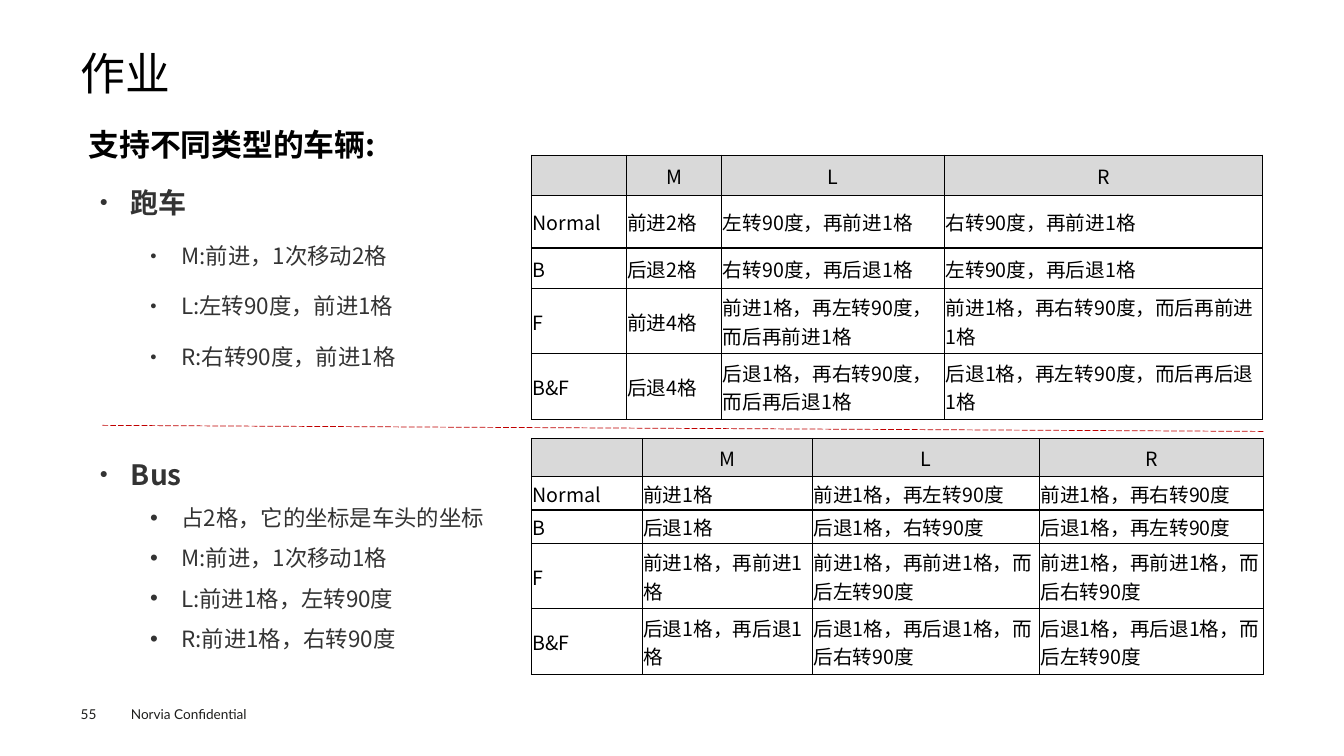
"""Build the homework slide on moves of different vehicle types."""
from lxml import etree
from pptx import Presentation, util as u
from pptx.dml.color import RGBColor
from pptx.enum import dml, shapes, text
from pptx.oxml import ns

INK = {"black": "000000", "body": "333333", "foot": "1D1D1B",
       "head": "D9D9D9", "white": "FFFFFF", "rule": "C00000"}
SANS, LATO = "Noto Sans CJK SC", "Lato"
BIG, SMALL = ("●", 50), ("•", 100)
HEADS = ["", "M", "L", "R"]

SPORT = [
    HEADS,
    ["Normal", "前进2格", "左转90度，再前进1格", "右转90度，再前进1格"],
    ["B", "后退2格", "右转90度，再后退1格", "左转90度，再后退1格"],
    ["F", "前进4格", "前进1格，再左转90度，而后再前进1格",
     "前进1格，再右转90度，而后再前进1格"],
    ["B&F", "后退4格", "后退1格，再右转90度，而后再后退1格",
     "后退1格，再左转90度，而后再后退1格"],
]
BUS = [
    HEADS,
    ["Normal", "前进1格", "前进1格，再左转90度", "前进1格，再右转90度"],
    ["B", "后退1格", "后退1格，右转90度", "后退1格，再左转90度"],
    ["F", "前进1格，再前进1格", "前进1格，再前进1格，而后左转90度",
     "前进1格，再前进1格，而后右转90度"],
    ["B&F", "后退1格，再后退1格", "后退1格，再后退1格，而后右转90度",
     "后退1格，再后退1格，而后左转90度"],
]


def rgb(name):
    return RGBColor.from_string(INK[name])


def sub(node, tag, **attrs):
    kid = etree.SubElement(node, ns.qn(tag))
    for key, val in attrs.items():
        kid.set(key, str(val))
    return kid


def put(par, words, size=14, font=SANS, color="black", bold=False,
        align=text.PP_ALIGN.LEFT, line=1.0, before=0, mark=None, left=0):
    par.alignment, par.line_spacing = align, line
    par.space_before = u.Pt(before)
    if mark:
        sign, scale = mark
        props = par._p.get_or_add_pPr()
        props.set("marL", str(u.Inches(left)))
        props.set("indent", str(u.Inches(-0.31)))
        sub(props, "a:buSzPct", val=scale * 1000)
        sub(props, "a:buFont", typeface="Arial")
        sub(props, "a:buChar", char=sign)
    run = par.add_run()
    run.text = words
    run.font.size, run.font.bold = u.Pt(size), bold
    run.font.color.rgb = rgb(color)
    run.font.name = font
    sub(run._r.get_or_add_rPr(), "a:ea", typeface=SANS)


def inset(frame, side, top):
    frame.margin_left = frame.margin_right = u.Inches(side)
    frame.margin_top = frame.margin_bottom = u.Inches(top)


def add_box(slide, area, side=0.1, top=0.05):
    frame = slide.shapes.add_textbox(*map(u.Inches, area)).text_frame
    frame.word_wrap = True
    inset(frame, side, top)
    return frame


def add_title(slide, words):
    title = slide.shapes.title
    title.left, title.top, title.width, title.height = map(
        u.Inches, (0.8, 0.49, 11.73, 0.53))
    frame = title.text_frame
    frame.auto_size = text.MSO_AUTO_SIZE.NONE
    frame.vertical_anchor = text.MSO_ANCHOR.MIDDLE
    inset(frame, 0, 0)
    put(frame.paragraphs[0], words, size=32, font=LATO, line=0.9)


def add_list(slide, area, head, items, mark, before):
    frame = add_box(slide, area)
    put(frame.paragraphs[0], head, size=20, color="body", bold=True,
        line=1.5, mark=BIG, left=0.75)
    for item in items:
        put(frame.add_paragraph(), item, size=16, color="body", line=1.5,
            before=before, mark=mark, left=1.25)


def style(cell, fill):
    inset(cell, 0.01, 0.01)
    cell.margin_bottom = 0
    cell.vertical_anchor = text.MSO_ANCHOR.MIDDLE
    props = cell._tc.get_or_add_tcPr()
    for side in "LRTB":
        edge = sub(props, f"a:ln{side}", w=u.Pt(1))
        sub(sub(edge, "a:solidFill"), "a:srgbClr", val=INK["black"])
    cell.fill.solid()
    cell.fill.fore_color.rgb = rgb(fill)


def add_grid(slide, top, cols, rows, data):
    area = map(u.Inches, (5.27, top, sum(cols), sum(rows)))
    grid = slide.shapes.add_table(len(rows), len(cols), *area).table
    for col, wide in zip(grid.columns, cols):
        col.width = u.Inches(wide)
    for r, (tall, line) in enumerate(zip(rows, data)):
        grid.rows[r].height = u.Inches(tall)
        for c, words in enumerate(line):
            cell = grid.cell(r, c)
            style(cell, "white" if r else "head")
            if words:
                put(cell.text_frame.paragraphs[0], words,
                    align=text.PP_ALIGN.LEFT if r else text.PP_ALIGN.CENTER)


def add_rule(slide, *ends):
    rule = slide.shapes.add_connector(
        shapes.MSO_CONNECTOR.STRAIGHT, *map(u.Inches, ends))
    rule.line.color.rgb = rgb("rule")
    rule.line.width = u.Pt(0.5)
    rule.line.dash_style = dml.MSO_LINE.LONG_DASH
    sub(rule._element.spPr, "a:effectLst")


def main():
    deck = Presentation()
    deck.slide_width, deck.slide_height = u.Inches(13.33), u.Inches(7.5)
    slide = deck.slides.add_slide(deck.slide_layouts[5])
    foot = {"size": 9.7, "font": LATO, "color": "foot"}
    put(add_box(slide, (1.2, 6.95, 1.6, 0.27)).paragraphs[0],
        "Norvia Confidential", **foot)
    put(add_box(slide, (0.8, 7, 0.55, 0.16), 0, 0).paragraphs[0], "55", **foot)
    add_title(slide, "作业")
    put(add_box(slide, (0.79, 1.02, 11.73, 5.34), 0.09, 0.04).paragraphs[0],
        "支持不同类型的车辆:", size=22, bold=True, line=1.5,
        align=text.PP_ALIGN.JUSTIFY)
    add_list(slide, (0.45, 4.32, 5.32, 2.18), "Bus",
             ["占2格，它的坐标是车头的坐标", "M:前进，1次移动1格",
              "L:前进1格，左转90度", "R:前进1格，右转90度"], SMALL, 0)
    add_list(slide, (0.45, 1.62, 5.19, 2.16), "跑车",
             ["M:前进，1次移动2格", "L:左转90度，前进1格",
              "R:右转90度，前进1格"], BIG, 7.2)
    add_grid(slide, 1.54, (0.94, 0.95, 2.21, 3.15),
             (0.4, 0.52, 0.4, 0.65, 0.65), SPORT)
    add_grid(slide, 4.35, (1.1, 1.69, 2.25, 2.22),
             (0.38, 0.33, 0.33, 0.65, 0.65), BUS)
    add_rule(slide, 12.53, 4.28, 1.01, 4.22)
    deck.save("out.pptx")


if __name__ == "__main__":
    main()
